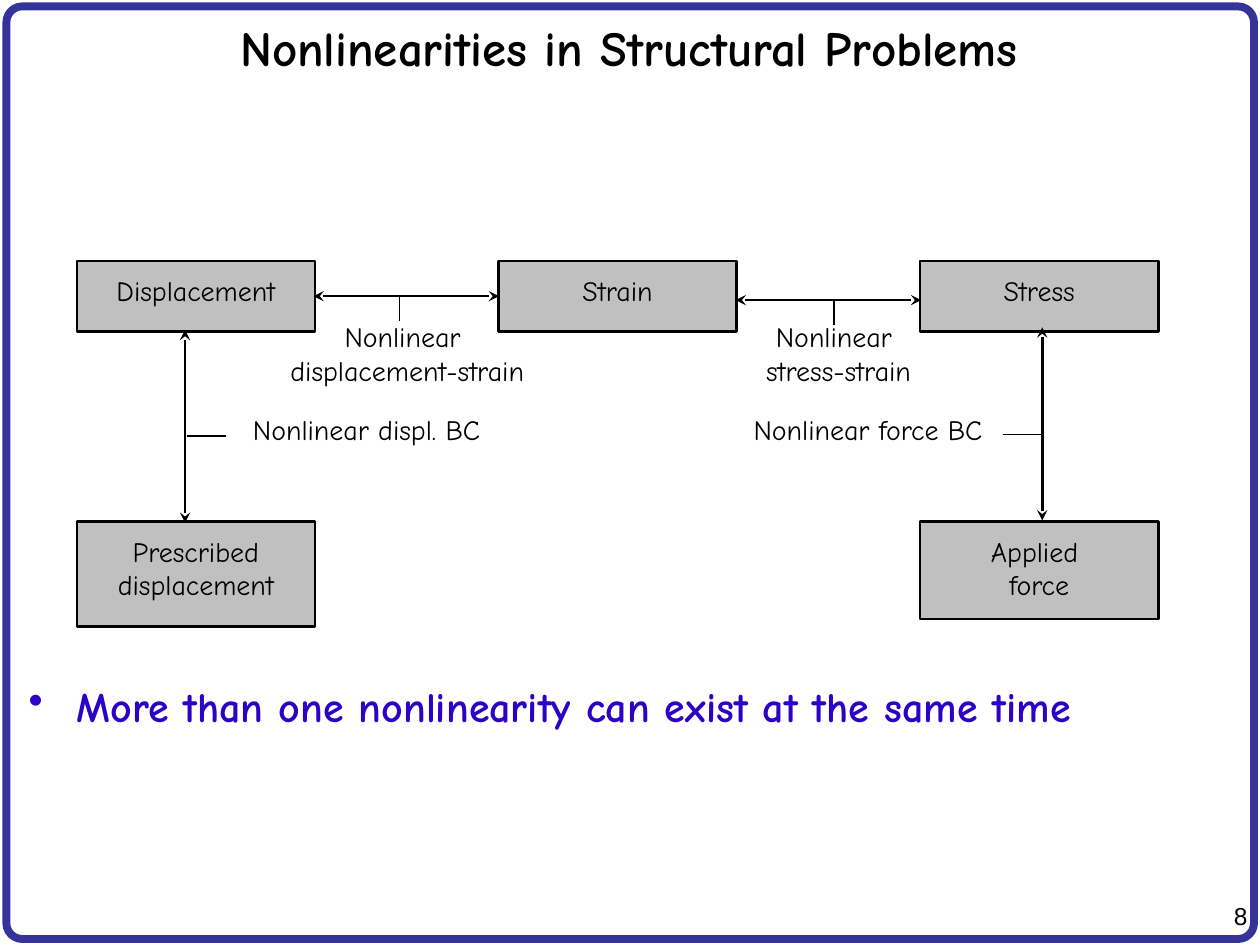
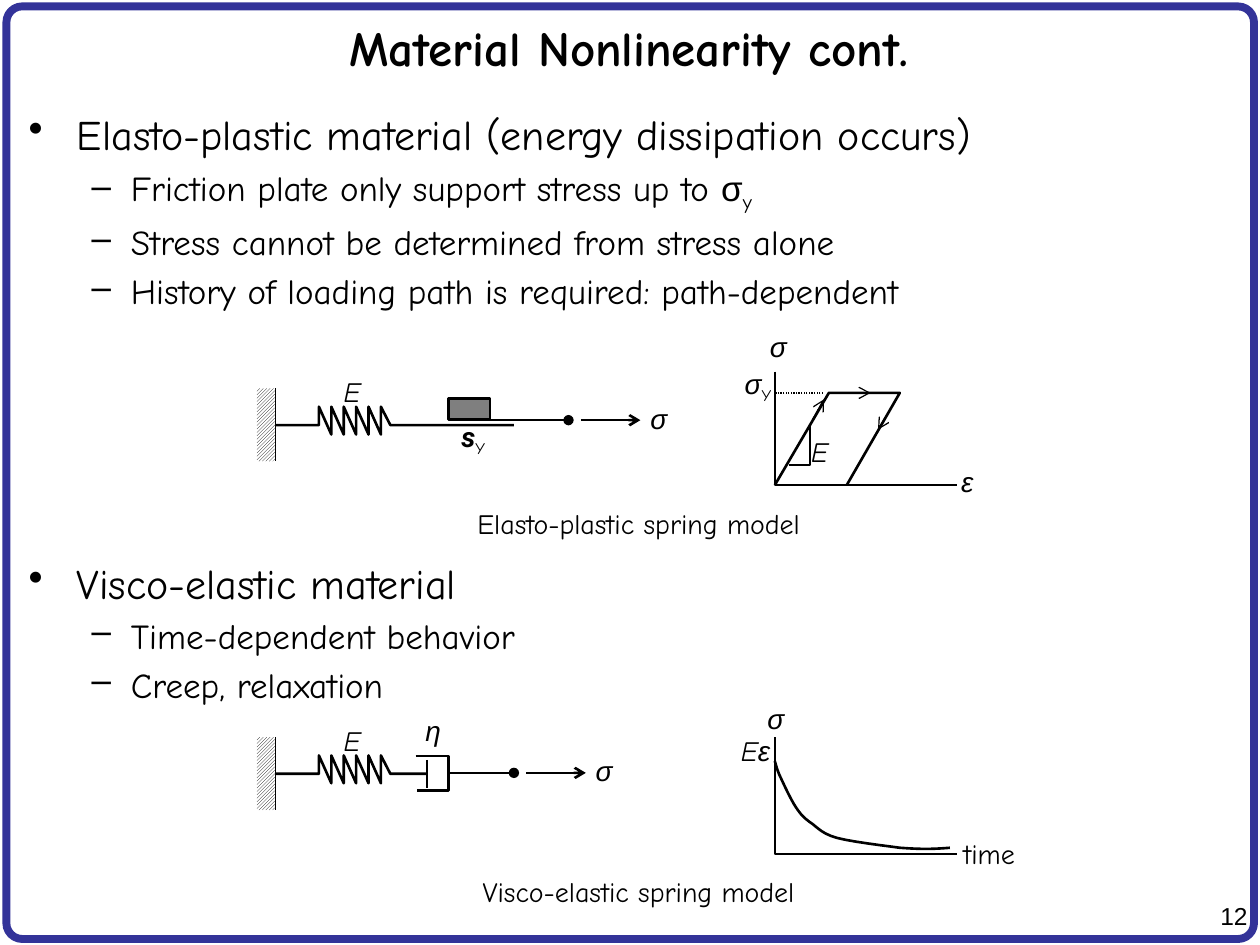
from dataclasses import dataclass

from lxml.etree import SubElement
from pptx import Presentation
from pptx.dml.color import RGBColor
from pptx.enum.dml import MSO_LINE, MSO_PATTERN
from pptx.enum.shapes import MSO_CONNECTOR, MSO_SHAPE
from pptx.enum.text import MSO_ANCHOR, PP_ALIGN
from pptx.oxml.ns import qn
from pptx.shapes.base import BaseShape
from pptx.slide import Slide
from pptx.util import Cm, Pt

BLACK = RGBColor(0x00, 0x00, 0x00)
WHITE = RGBColor(0xFF, 0xFF, 0xFF)
FRAME_BLUE = RGBColor(0x33, 0x33, 0x99)
EMPHASIS_BLUE = RGBColor(0x2C, 0x02, 0xC6)
BOX_GREY = RGBColor(0xC0, 0xC0, 0xC0)
BLOCK_GREY = RGBColor(0x7F, 0x7F, 0x7F)
TEXT_FONT, SYMBOL_FONT, BOLD_SYMBOL_FONT = "Comic Neue", "Arial", "Roboto"
THIN, AXIS, THICK = 0.75, 1, 1.5
NO_INSETS = (0, 0, 0, 0)
TEXT_INSETS = (0.25, 0.13, 0.25, 0.13)
BOX_INSETS = (0.25, 0.25, 0.25, 0.13)

Point = tuple[float, float]
Area = tuple[float, float, float, float]


@dataclass(frozen=True)
class Span:
    text: str
    size: float = 16
    font: str = TEXT_FONT
    bold: bool = False
    italic: bool = False
    subscript: bool = False
    color: RGBColor = BLACK


@dataclass(frozen=True)
class Label:
    area: Area
    spans: list[Span]


@dataclass(frozen=True)
class Line:
    start: Point
    end: Point
    width: float = THICK
    head: str = ""
    tail: str = ""
    dotted: bool = False


@dataclass(frozen=True)
class Item:
    spans: list[Span]
    level: int = 0


@dataclass(frozen=True)
class SpringModel:
    top: float
    spring_end: float
    rod_start: float
    rod_end: float
    rod_y: float
    caption: str
    caption_top: float


def symbol(text: str) -> Span:
    return Span(text, font=SYMBOL_FONT, italic=True)


MODULUS = Span("E", italic=True)
SIGMA, EPSILON = symbol("σ"), symbol("ε")
YIELD = Span("Y", subscript=True)


def add_spans(para, spans: list[Span]) -> None:
    """Add one run per line of each span, with line breaks between them."""
    for span in spans:
        for index, text in enumerate(span.text.split("\n")):
            if index:
                para.add_line_break()
            run = para.add_run()
            run.text = text
            font = run.font
            font.name, font.size = span.font, Pt(span.size)
            font.bold, font.italic = span.bold, span.italic
            font.color.rgb = span.color
            if span.subscript:
                run._r.get_or_add_rPr().set("baseline", "-25000")


def prepare_frame(shape: BaseShape, insets: Area, anchor=MSO_ANCHOR.TOP):
    frame = shape.text_frame
    frame.word_wrap = True
    frame.vertical_anchor = anchor
    (frame.margin_left, frame.margin_top,
     frame.margin_right, frame.margin_bottom) = map(Cm, insets)
    return frame


def add_text(page: Slide, area: Area, spans: list[Span], insets: Area = NO_INSETS,
             align=PP_ALIGN.CENTER, anchor=MSO_ANCHOR.TOP) -> None:
    box = page.shapes.add_textbox(*map(Cm, area))
    para = prepare_frame(box, insets, anchor).paragraphs[0]
    para.alignment = align
    add_spans(para, spans)


def add_bullets(page: Slide, area: Area, items: list[Item]) -> None:
    frame = prepare_frame(page.shapes.add_textbox(*map(Cm, area)), TEXT_INSETS)
    for index, item in enumerate(items):
        para = frame.add_paragraph() if index else frame.paragraphs[0]
        para.level = item.level
        para.space_before = Pt(0.2 * item.spans[0].size)
        left, hanging, bullet = ((0.97, 0.97, "•"), (2.06, 0.79, "–"))[item.level]
        properties = para._p.get_or_add_pPr()
        properties.set("marL", str(Cm(left)))
        properties.set("indent", str(-Cm(hanging)))
        SubElement(properties, qn("a:buChar")).set("char", bullet)
        add_spans(para, item.spans)


def set_outline(shape: BaseShape, width: float, color: RGBColor = BLACK) -> None:
    shape.shadow.inherit = False
    shape.line.color.rgb = color
    shape.line.width = Pt(width)


def add_box(page: Slide, area: Area, fill: RGBColor, spans: list[Span]) -> None:
    box = page.shapes.add_shape(MSO_SHAPE.RECTANGLE, *map(Cm, area))
    set_outline(box, THICK)
    box.fill.solid()
    box.fill.fore_color.rgb = fill
    para = prepare_frame(box, BOX_INSETS).paragraphs[0]
    para.alignment = PP_ALIGN.CENTER
    add_spans(para, spans)


def add_lines(page: Slide, lines: list[Line]) -> None:
    for line in lines:
        connector = page.shapes.add_connector(
            MSO_CONNECTOR.STRAIGHT, *map(Cm, line.start + line.end))
        connector.line.color.rgb = BLACK
        connector.line.width = Pt(line.width)
        if line.dotted:
            connector.line.dash_style = MSO_LINE.ROUND_DOT
        outline = connector.line._get_or_add_ln()
        for tag, kind in (("a:headEnd", line.head), ("a:tailEnd", line.tail)):
            if kind:
                SubElement(outline, qn(tag)).set("type", kind)
        SubElement(connector._element.spPr, qn("a:effectLst"))


def add_polyline(page: Slide, points: list[Point], width: float = THICK) -> None:
    first, *rest = [(Cm(x), Cm(y)) for x, y in points]
    builder = page.shapes.build_freeform(*first)
    builder.add_line_segments(rest, close=False)
    shape = builder.convert_to_shape()
    shape.fill.background()
    set_outline(shape, width)


def smooth_points(controls: list[Point], steps: int = 6) -> list[Point]:
    """Sample a chain of cubic Bézier curves given by its control points."""
    points = [controls[0]]
    for first in range(0, len(controls) - 1, 3):
        corners = controls[first:first + 4]
        for step in range(1, steps + 1):
            t = step / steps
            weights = ((1 - t) ** 3, 3 * t * (1 - t) ** 2, 3 * t * t * (1 - t), t ** 3)
            points.append((sum(w * x for w, (x, _) in zip(weights, corners)),
                           sum(w * y for w, (_, y) in zip(weights, corners))))
    return points


def add_page(deck, title: str, number: int) -> Slide:
    page = deck.slides.add_slide(deck.slide_layouts[6])
    frame = page.shapes.add_shape(
        MSO_SHAPE.ROUNDED_RECTANGLE, *map(Cm, (0.13, 0.13, 25.15, 18.8)))
    frame.adjustments[0] = 0.017
    frame.fill.background()
    set_outline(frame, 4.5, FRAME_BLUE)
    add_text(page, (24.03, 18.03, 1.37, 0.84), [Span(str(number), 14, SYMBOL_FONT)],
             TEXT_INSETS, PP_ALIGN.RIGHT)
    add_text(page, (0.1, 0.13, 25.15, 1.65), [Span(title, 28, bold=True)],
             TEXT_INSETS, anchor=MSO_ANCHOR.MIDDLE)
    return page


def add_spring_model(page: Slide, model: SpringModel) -> None:
    """Draw the wall, spring, rod, force arrow and caption of a model."""
    wall = page.shapes.add_shape(
        MSO_SHAPE.RECTANGLE, *map(Cm, (5.18, model.top, 0.36, 1.47)))
    wall.shadow.inherit = False
    wall.line.fill.background()
    wall.fill.patterned()
    wall.fill.pattern = MSO_PATTERN.DARK_UPWARD_DIAGONAL
    wall.fill.fore_color.rgb = BLACK
    wall.fill.back_color.rgb = WHITE

    wall_x, coil_x, pitch = 5.56, 6.43, 0.25
    axis, upper, lower = (model.top + offset for offset in (0.74, 0.37, 0.93))
    spring = [(wall_x, axis), (coil_x, axis), (coil_x, upper)]
    for turn in range(1, 6):
        x = coil_x + turn * pitch
        spring += [(x, lower), (x, upper)]
    add_polyline(page, spring + [(7.87, axis), (model.spring_end, axis)])

    arrow_start = model.rod_end + 0.25
    arrow_end = arrow_start + 1.2
    add_lines(page, [
        Line((wall_x, model.top), (wall_x, model.top + 1.47), THIN),
        Line((model.rod_start, model.rod_y), (model.rod_end, model.rod_y), tail="oval"),
        Line((arrow_start, model.rod_y), (arrow_end, model.rod_y), tail="arrow"),
    ])
    add_text(page, (arrow_end, model.rod_y - 0.38, 0.74, 1.07), [SIGMA])
    add_text(page, (6.73, model.top - 0.27, 0.74, 0.58), [MODULUS])
    add_text(page, (8.94, model.caption_top, 7.87, 0.58), [Span(model.caption)])


def add_axes(page: Slide, top: float, bottom: float) -> None:
    add_polyline(page, [(15.63, top), (15.63, bottom), (19.3, bottom)], AXIS)


def build_structural_problems(deck) -> None:
    page = add_page(deck, "Nonlinearities in Structural Problems", 8)
    add_bullets(page, (0.33, 13.59, 24.74, 3.99), [Item([Span(
        "More than one nonlinearity can exist at the same time", 24,
        bold=True, color=EMPHASIS_BLUE)])])
    for column, top, height, text in (
            (0, 5.26, 1.42, "Displacement"), (1, 5.26, 1.42, "Strain"),
            (2, 5.26, 1.42, "Stress"), (0, 10.52, 2.11, "Prescribed\ndisplacement"),
            (2, 10.52, 1.96, "Applied \nforce")):
        add_box(page, (1.55 + 8.5 * column, top, 4.8, height), BOX_GREY, [Span(text)])
    for start, end in (((6.32, 5.97), (10.06, 5.97)), ((14.83, 6.05), (18.57, 6.05)),
                       ((21.01, 10.49), (21.01, 6.6)), ((3.73, 10.54), (3.73, 6.65))):
        add_lines(page, [Line(start, end, head="stealth", tail="stealth")])
    add_lines(page, [
        Line((8.05, 5.97), (8.05, 6.48), THIN), Line((16.81, 6.02), (16.81, 6.55), THIN),
        Line((3.76, 8.79), (4.55, 8.79), THIN), Line((20.22, 8.76), (21.01, 8.76), THIN),
    ])
    for area, text in (((5.16, 6.32, 6.1, 1.98), "Nonlinear \ndisplacement-strain"),
                       ((14.91, 6.32, 3.99, 1.98), "Nonlinear \nstress-strain"),
                       ((4.34, 8.18, 6.1, 1.19), "Nonlinear displ. BC"),
                       ((14.45, 8.18, 6.1, 1.19), "Nonlinear force BC")):
        add_text(page, area, [Span(text)], TEXT_INSETS)


def build_material_nonlinearity(deck) -> None:
    page = add_page(deck, "Material Nonlinearity cont.", 12)
    add_bullets(page, (0.33, 2.06, 24.74, 6), [
        Item([Span("Elasto-plastic material (energy dissipation occurs)", 24)]),
        Item([Span("Friction plate only support stress up to ", 20),
              Span("σ", 20, SYMBOL_FONT), Span("y", 20, subscript=True)], 1),
        Item([Span("Stress cannot be determined from stress alone", 20)], 1),
        Item([Span("History of loading path is required: path-dependent", 20)], 1),
    ])
    add_bullets(page, (0.33, 11.1, 24.74, 3.6), [
        Item([Span("Visco-elastic material", 24)]),
        Item([Span("Time-dependent behavior", 20)], 1),
        Item([Span("Creep, relaxation", 20)], 1),
    ])
    for model in (
            SpringModel(7.83, 10.36, 9.88, 11.46, 8.47, "Elasto-plastic spring model", 10.21),
            SpringModel(14.86, 8.61, 9.02, 10.36, 15.58, "Visco-elastic spring model", 17.63)):
        add_spring_model(page, model)

    add_box(page, (9.04, 8.03, 0.84, 0.43), BLOCK_GREY, [])
    add_axes(page, 7.49, 9.78)
    add_polyline(page, [(15.9, 9.37), (16.33, 9.37), (16.33, 8.59)], AXIS)
    add_polyline(page, [(15.62, 9.78), (16.71, 7.92), (18.14, 7.92), (17.07, 9.78)])
    add_lines(page, [
        Line((16.38, 8.46), (16.61, 8.05), THIN, tail="arrow"),
        Line((17.96, 8.23), (17.7, 8.66), THIN, tail="arrow"),
        Line((17.2, 7.92), (17.55, 7.92), THIN, tail="arrow"),
        Line((16.59, 7.92), (15.62, 7.92), THIN, dotted=True),
    ])

    dashpot_piston = Line((8.61, 15.32), (8.61, 15.88))
    add_lines(page, [dashpot_piston])
    add_polyline(page, [(8.38, 15.24), (9.04, 15.24), (9.04, 15.94), (8.4, 15.94)])
    add_axes(page, 14.86, 17.22)
    add_polyline(page, smooth_points([
        (15.62, 15.34), (15.65, 15.44), (15.67, 15.54), (15.75, 15.7), (15.82, 15.85),
        (15.95, 16.13), (16.05, 16.28), (16.15, 16.43), (16.23, 16.51), (16.38, 16.61),
        (16.51, 16.71), (16.59, 16.81), (16.87, 16.89), (17.17, 16.97), (17.78, 17.04),
        (18.14, 17.09), (18.52, 17.12), (18.82, 17.12), (19.15, 17.09)]))

    bold_yield = Span("s", font=BOLD_SYMBOL_FONT, bold=True, italic=True)
    for label in (
            Label((9.07, 8.46, 0.94, 1.07), [bold_yield, YIELD]),
            Label((15.32, 6.65, 0.74, 1.07), [SIGMA]),
            Label((14.81, 7.39, 0.94, 1.07), [SIGMA, YIELD]),
            Label((16.15, 8.76, 0.74, 0.58), [MODULUS]),
            Label((19.13, 9.37, 0.74, 1.07), [EPSILON]),
            Label((8.26, 14.38, 0.94, 1.07), [symbol("η")]),
            Label((15.27, 14.15, 0.74, 1.07), [SIGMA]),
            Label((14.76, 14.78, 0.94, 1.07), [MODULUS, EPSILON]),
            Label((19.28, 16.87, 1.32, 1.07), [Span("time")])):
        add_text(page, label.area, label.spans)


def main() -> None:
    deck = Presentation()
    deck.slide_width, deck.slide_height = Cm(25.4), Cm(19.05)
    build_structural_problems(deck)
    build_material_nonlinearity(deck)
    deck.save("out.pptx")


if __name__ == "__main__":
    main()
